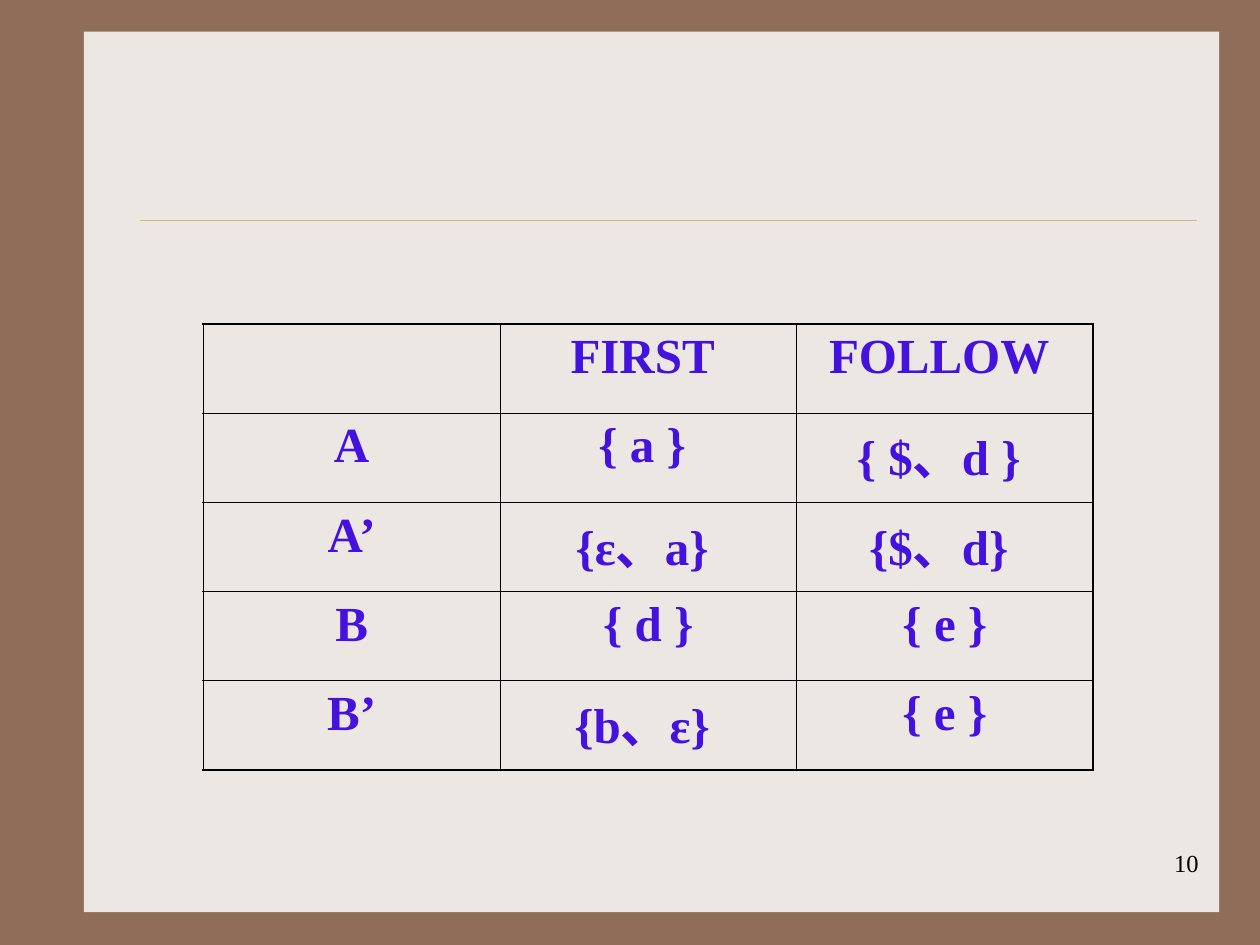
"""Build a slide with a table of FIRST and FOLLOW sets."""
from lxml import etree
from pptx import Presentation
from pptx.dml.color import RGBColor
from pptx.enum.shapes import MSO_CONNECTOR, MSO_SHAPE
from pptx.enum.text import PP_ALIGN
from pptx.oxml.ns import qn
from pptx.util import Pt

RECT = MSO_SHAPE.RECTANGLE
LINE = MSO_CONNECTOR.STRAIGHT
CENTER, RIGHT = PP_ALIGN.CENTER, PP_ALIGN.RIGHT
COLORS = {"back": "906D58", "paper": "EDE7E3", "rule": "CBBD83",
          "text": "4312DE", "black": "000000"}
ROWS = [
    ["", "FIRST ", "FOLLOW "],
    ["A", "{ a } ", "{ $、d } "],
    ["A’", "{ε、a} ", "{$、d} "],
    ["B", "{ d }", "{ e }"],
    ["B’", "{b、ε} ", " { e } "],
]
THIN, THICK = 0.45, 1.08


def color(name):
    return RGBColor.from_string(COLORS[name])


def write(frame, text, size=28, tint="text", bold=False, align=CENTER, before=0):
    frame.word_wrap = True
    para = frame.paragraphs[0]
    para.alignment = align
    para.space_before = Pt(before)
    run = para.add_run()
    run.text = text
    font = run.font
    font.name = "Times New Roman"
    font.size = Pt(size)
    font.bold = bold
    font.color.rgb = color(tint)


deck = Presentation()
deck.slide_width, deck.slide_height = Pt(720), Pt(540)
slide = deck.slides.add_slide(deck.slide_layouts[6])
fill = slide.background.fill
fill.solid()
fill.fore_color.rgb = color("back")
shapes = slide.shapes

paper = shapes.add_shape(RECT, Pt(48), Pt(18), Pt(648.7), Pt(503.3))
paper.shadow.inherit = False
paper.fill.solid()
paper.fill.fore_color.rgb = color("paper")
paper.line.fill.background()

rule = shapes.add_connector(LINE, Pt(80), Pt(126), Pt(684), Pt(126))
rule.line.color.rgb = color("rule")
rule.line.width = Pt(0.26)
etree.SubElement(rule._element.spPr, qn("a:effectLst"))

rows, cols = len(ROWS), len(ROWS[0])
frame = shapes.add_table(rows, cols, Pt(116.2), Pt(185), Pt(508.5), Pt(255))
table = frame.table
table.first_row = table.horz_banding = False
for col in table.columns:
    col.width = Pt(169.5)
for row in table.rows:
    row.height = Pt(51)

for i, row in enumerate(ROWS):
    for j, text in enumerate(row):
        cell = table.cell(i, j)
        cell.fill.background()
        if text:
            write(cell.text_frame, text, bold=True, before=7)
        edges = {"L": j == 0, "R": j == cols - 1, "T": i == 0, "B": i == rows - 1}
        props = cell._tc.get_or_add_tcPr()
        for at, (side, outer) in enumerate(edges.items()):
            width = Pt(THICK if outer else THIN)
            edge = etree.Element(qn("a:ln" + side), w=str(int(width)))
            solid = etree.SubElement(edge, qn("a:solidFill"))
            etree.SubElement(solid, qn("a:srgbClr"), val=COLORS["black"])
            props.insert(at, edge)

number = shapes.add_textbox(Pt(542), Pt(481), Pt(150), Pt(36))
write(number.text_frame, "10", size=14, tint="black", align=RIGHT)

deck.save("out.pptx")
